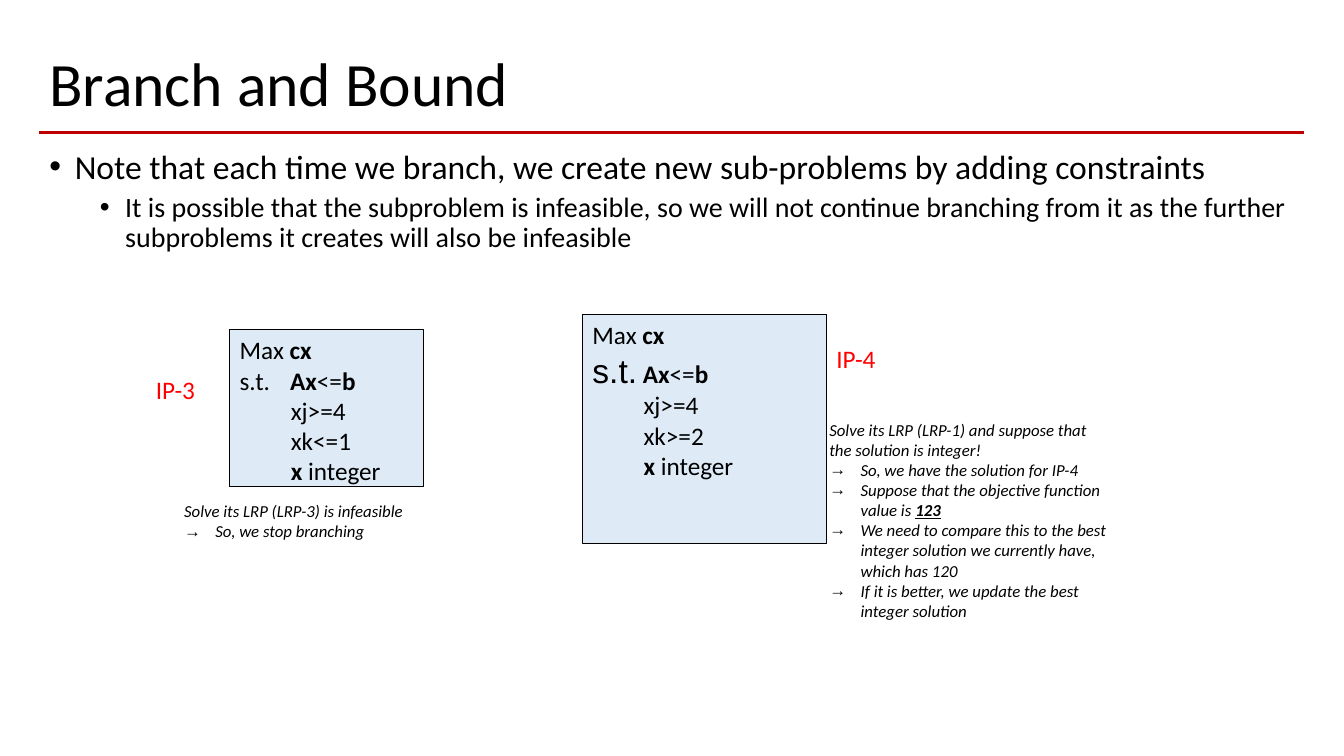
from lxml import etree
from pptx import Presentation
from pptx import util as u
from pptx.dml.color import RGBColor
from pptx.enum import shapes, text
from pptx.oxml import ns

BLACK = RGBColor(0x00, 0x00, 0x00)
RED = RGBColor(0xFF, 0x00, 0x00)
RULE_RED = RGBColor(0xC0, 0x00, 0x00)
PALE_BLUE = RGBColor(0xDE, 0xEB, 0xF7)
BOLD = {"bold": True}
NOTE = {"size": 12, "italic": True}
CONSTRAINT_INDENT = 1.29


def write(paragraph, *runs, size=18, font="Calibri", color=BLACK, bold=False,
          italic=False, bullet=None, margin=0, hanging=0, tab=None,
          spacing=None, before=0):
    paragraph.alignment = text.PP_ALIGN.LEFT
    paragraph.space_before = u.Pt(before)
    if spacing:
        paragraph.line_spacing = spacing
    properties = paragraph._p.get_or_add_pPr()
    properties.set("marL", str(u.Cm(margin)))
    properties.set("indent", str(-u.Cm(hanging)))
    if bullet:
        etree.SubElement(properties, ns.qn("a:buFont"), typeface="Arial")
        etree.SubElement(properties, ns.qn("a:buChar"), char=bullet)
    if tab:
        stops = etree.SubElement(properties, ns.qn("a:tabLst"))
        etree.SubElement(stops, ns.qn("a:tab"), pos=str(u.Cm(tab)), algn="l")
    for item in runs:
        words, changes = (item, {}) if isinstance(item, str) else item
        run = paragraph.add_run()
        run.text = words
        run.font.size = u.Pt(changes.get("size", size))
        run.font.name = changes.get("font", font)
        run.font.bold = changes.get("bold", bold)
        run.font.italic = italic
        run.font.underline = changes.get("underline", False)
        run.font.color.rgb = color


def place(shape, left, top, width, height):
    shape.left, shape.top = u.Cm(left), u.Cm(top)
    shape.width, shape.height = u.Cm(width), u.Cm(height)


def add_text_box(slide, left, top, width, height):
    frame = slide.shapes.add_textbox(
        u.Cm(left), u.Cm(top), u.Cm(width), u.Cm(height)).text_frame
    frame.word_wrap = True
    return frame


def add_heading(slide, left, top, width, height):
    title = slide.shapes.title
    place(title, left, top, width, height)
    title.text_frame.vertical_anchor = text.MSO_ANCHOR.MIDDLE
    title.text_frame.auto_size = text.MSO_AUTO_SIZE.NONE
    write(title.text_frame.paragraphs[0], "Branch and Bound", size=44, spacing=0.9)
    bottom = u.Cm(top + height - 0.03)
    rule = slide.shapes.add_connector(
        shapes.MSO_CONNECTOR.STRAIGHT, u.Cm(left), bottom, u.Cm(left + width), bottom)
    rule.line.color.rgb = RULE_RED
    rule.line.width = u.Pt(2.25)
    etree.SubElement(rule._element.spPr, ns.qn("a:effectLst"))


def add_branching_points(slide, left, top, width, height):
    points = slide.placeholders[1]
    place(points, left, top, width, height)
    frame = points.text_frame
    frame.auto_size = text.MSO_AUTO_SIZE.NONE
    write(frame.paragraphs[0],
          "Note that each time we branch, we create new sub-problems by adding constraints",
          size=24, bullet="•", margin=0.64, hanging=0.64, spacing=0.9)
    infeasible = frame.add_paragraph()
    infeasible.level = 1
    write(infeasible,
          "It is possible that the subproblem is infeasible, so we will not continue "
          "branching from it as the further subproblems it creates will also be infeasible",
          size=20, bullet="•", margin=1.91, hanging=0.64, spacing=0.9, before=5)


def add_subproblem(slide, left, top, width, height, label, label_offset,
                   branch, subject_to, matrix_tab, note_offset, note_height,
                   finding, steps):
    program = slide.shapes.add_shape(
        shapes.MSO_SHAPE.RECTANGLE, u.Cm(left), u.Cm(top), u.Cm(width), u.Cm(height))
    program.shadow.inherit = False
    program.fill.solid()
    program.fill.fore_color.rgb = PALE_BLUE
    program.line.color.rgb = BLACK
    program.line.width = u.Pt(0.75)
    frame = program.text_frame
    frame.vertical_anchor = text.MSO_ANCHOR.TOP
    write(frame.paragraphs[0], "Max ", ("cx", BOLD))
    write(frame.add_paragraph(), ("s.t.\t", subject_to), ("Ax", BOLD), "<=",
          ("b", BOLD), tab=matrix_tab)
    for runs in (["xj>=4"], [branch], [("x", BOLD), " integer"]):
        write(frame.add_paragraph(), *runs, margin=CONSTRAINT_INDENT)

    label_x, label_y = label_offset
    tag = add_text_box(slide, left + label_x, top + label_y, 2.97, 1.02)
    write(tag.paragraphs[0], label, color=RED)

    note_x, note_y = note_offset
    note = add_text_box(slide, left + note_x, top + note_y, 7.62, note_height)
    write(note.paragraphs[0], finding, **NOTE)
    for step in steps:
        write(note.add_paragraph(), *step, bullet="→", margin=0.79, hanging=0.79, **NOTE)


def main():
    deck = Presentation()
    deck.slide_width, deck.slide_height = u.Cm(33.87), u.Cm(19.05)
    slide = deck.slides.add_slide(deck.slide_layouts[1])
    add_heading(slide, 0.99, 1.02, 31.88, 2.34)
    add_branching_points(slide, 0.99, 3.66, 31.88, 13.51)
    add_subproblem(
        slide, 5.79, 8.31, 4.88, 3.94, label="IP-3", label_offset=(-2.11, 1.01),
        branch="xk<=1", subject_to={}, matrix_tab=1.21,
        note_offset=(-1.4, 4.19), note_height=1.27,
        finding="Solve its LRP (LRP-3) is infeasible",
        steps=[["So, we stop branching"]])
    add_subproblem(
        slide, 14.68, 7.92, 6.15, 5.77, label="IP-4", label_offset=(6.15, 0.61),
        branch="xk>=2", subject_to={"size": 24, "font": "Arial"}, matrix_tab=1.84,
        note_offset=(5.97, 2.52), note_height=5.38,
        finding="Solve its LRP (LRP-1) and suppose that the solution is integer!",
        steps=[
            ["So, we have the solution for IP-4"],
            ["Suppose that the objective function value is ",
             ("123", {"bold": True, "underline": True})],
            ["We need to compare this to the best integer solution we currently "
             "have, which has 120"],
            ["If it is better, we update the best integer solution"],
        ])
    deck.save("out.pptx")


if __name__ == "__main__":
    main()
